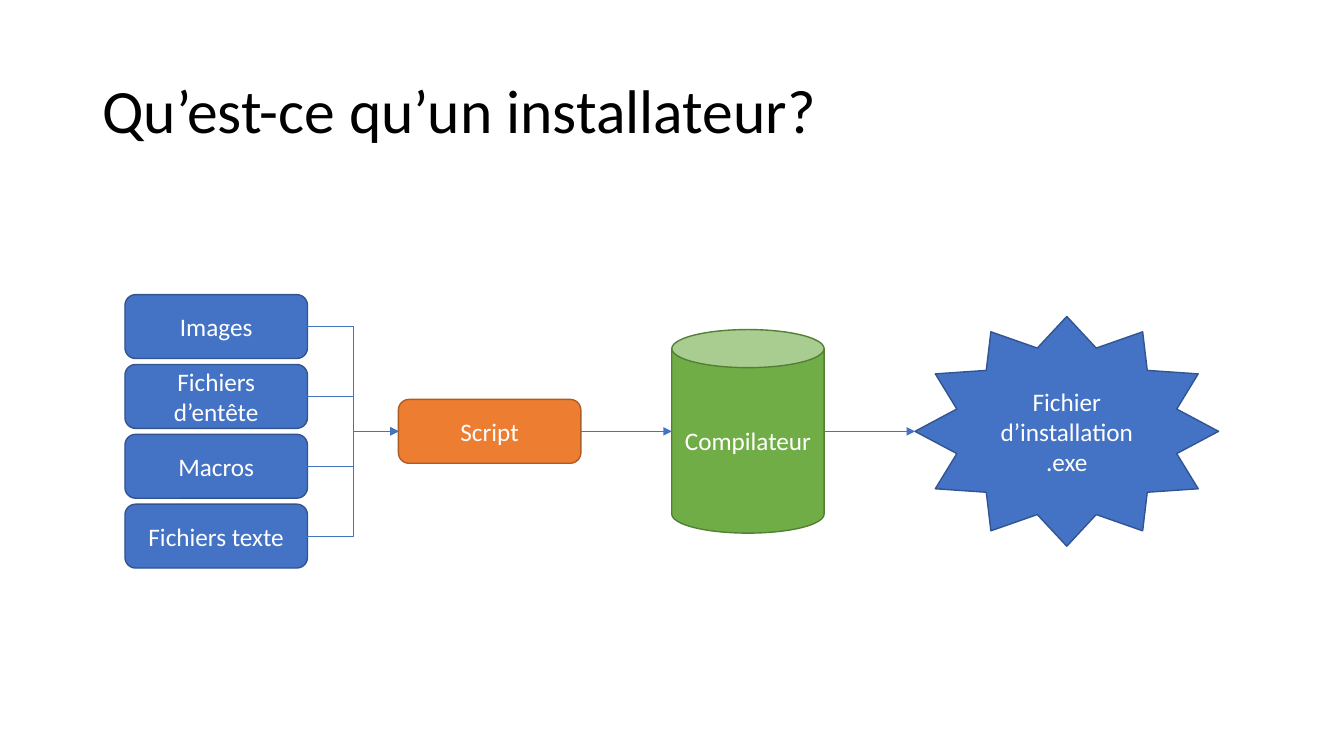
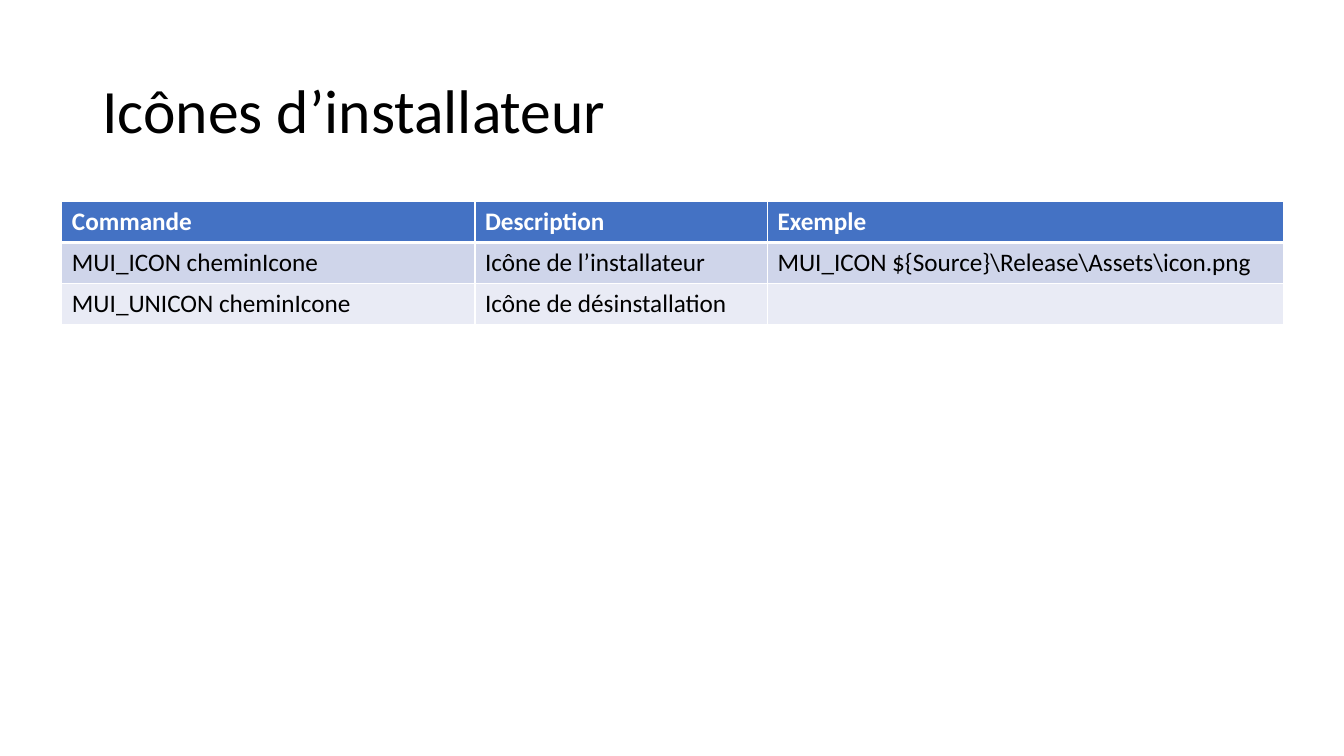
"""Build two slides on installers: a build flow and a table of icon commands."""
from dataclasses import dataclass
from lxml.etree import SubElement
from pptx import Presentation
from pptx.dml.color import RGBColor
from pptx.enum.shapes import MSO_CONNECTOR, MSO_SHAPE
from pptx.enum.text import MSO_ANCHOR, PP_ALIGN
from pptx.oxml.ns import qn
from pptx.util import Cm, Pt

FLOW = "Qu’est-ce qu’un installateur?"
INPUTS = ["Images", "Fichiers d’entête", "Macros", "Fichiers texte"]
STAGES = [
    ("Script", MSO_SHAPE.ROUNDED_RECTANGLE, "orange", 4.6, 1.61),
    ("Compilateur", MSO_SHAPE.CAN, "green", 3.84, 5.13),
    ("Fichier d’installation .exe", MSO_SHAPE.STAR_12_POINT, "blue", 7.65, 5.79),
]
ICONS = "Icônes d’installateur"
ROWS = [
    ("Commande", "Description", "Exemple"),
    ("MUI_ICON cheminIcone", "Icône de l’installateur",
     "MUI_ICON ${Source}\\Release\\Assets\\icon.png"),
    ("MUI_UNICON cheminIcone", "Icône de désinstallation", ""),
]
WIDTHS = [10.41, 7.37, 13.0]
LEFT, MID, GAP, PITCH = 3.15, 10.87, 2.29, 1.76
BOX_W, BOX_H = 4.6, 1.61
ROW_H = 1.03


@dataclass(frozen=True)
class Theme:
    font: str = "Calibri"
    title: int = 44
    body: int = 18
    black: str = "000000"
    white: str = "FFFFFF"
    blue: tuple = ("4472C4", "325491")
    orange: tuple = ("ED7D31", "AF5C24")
    green: tuple = ("70AD47", "538035")
    bands: tuple = ("CFD5EA", "E9EBF5")


THEME = Theme()


def rgb(code):
    return RGBColor.from_string(code)


def style(frame, size, color, bold=False, align=PP_ALIGN.LEFT):
    for para in frame.paragraphs:
        para.alignment = align
        for run in para.runs:
            font = run.font
            font.name, font.size, font.bold = THEME.font, Pt(size), bold
            font.color.rgb = rgb(color)


def new_slide(deck, title):
    slide = deck.slides.add_slide(deck.slide_layouts[6])
    frame = slide.shapes.add_textbox(Cm(2.33), Cm(1.01), Cm(29.21), Cm(3.68)).text_frame
    frame.word_wrap = True
    frame.vertical_anchor = MSO_ANCHOR.MIDDLE
    frame.text = title
    frame.paragraphs[0].line_spacing = 0.9
    style(frame, THEME.title, THEME.black)
    return slide


def add_node(slide, text, kind, hue, left, mid, width, height):
    node = slide.shapes.add_shape(kind, Cm(left), Cm(mid - height / 2), Cm(width), Cm(height))
    fill, edge = getattr(THEME, hue)
    node.shadow.inherit = False
    node.fill.solid()
    node.fill.fore_color.rgb = rgb(fill)
    node.line.color.rgb = rgb(edge)
    node.line.width = Pt(1)
    frame = node.text_frame
    frame.word_wrap = True
    frame.vertical_anchor = MSO_ANCHOR.MIDDLE
    frame.text = text
    style(frame, THEME.body, THEME.white, align=PP_ALIGN.CENTER)
    return node


def link(slide, start, end, kind=MSO_CONNECTOR.STRAIGHT):
    line = slide.shapes.add_connector(
        kind, start.left + start.width, start.top + start.height // 2,
        end.left, end.top + end.height // 2)
    if start.auto_shape_type == MSO_SHAPE.ROUNDED_RECTANGLE:
        line.begin_connect(start, 3)
    if end.auto_shape_type == MSO_SHAPE.ROUNDED_RECTANGLE:
        line.end_connect(end, 1)
    line.line.color.rgb = rgb(THEME.blue[0])
    line.line.width = Pt(0.5)
    SubElement(line.line._get_or_add_ln(), qn("a:tailEnd"), type="triangle")
    SubElement(line._element.spPr, qn("a:effectLst"))


def draw_flow(deck):
    slide = new_slide(deck, FLOW)
    top = MID - PITCH * (len(INPUTS) - 1) / 2
    boxes = [add_node(slide, text, MSO_SHAPE.ROUNDED_RECTANGLE, "blue",
                      LEFT, top + i * PITCH, BOX_W, BOX_H)
             for i, text in enumerate(INPUTS)]
    chain, left = [], LEFT + BOX_W + GAP
    for text, kind, hue, width, height in STAGES:
        chain.append(add_node(slide, text, kind, hue, left, MID, width, height))
        left += width + GAP
    for box in boxes:
        link(slide, box, chain[0], MSO_CONNECTOR.ELBOW)
    for start, end in zip(chain, chain[1:]):
        link(slide, start, end)


def add_edges(cell, widths):
    props = cell._tc.get_or_add_tcPr()
    for i, (side, width) in enumerate(widths.items()):
        edge = SubElement(props, qn(f"a:ln{side}"), w=str(Pt(width)))
        fill = SubElement(edge, qn("a:solidFill"))
        SubElement(fill, qn("a:srgbClr"), val=THEME.white)
        props.insert(i, edge)


def draw_icons(deck):
    slide = new_slide(deck, ICONS)
    table = slide.shapes.add_table(
        len(ROWS), len(WIDTHS), Cm(1.56), Cm(5.08),
        Cm(sum(WIDTHS)), Cm(ROW_H * len(ROWS))).table
    for col, width in zip(table.columns, WIDTHS):
        col.width = Cm(width)
    for r, row in enumerate(ROWS):
        head = r == 0
        table.rows[r].height = Cm(ROW_H)
        for c, text in enumerate(row):
            cell = table.cell(r, c)
            cell.text_frame.text = text
            style(cell.text_frame, THEME.body, THEME.white if head else THEME.black, head)
            cell.fill.solid()
            cell.fill.fore_color.rgb = rgb(THEME.blue[0] if head else THEME.bands[(r - 1) % 2])
            add_edges(cell, {"L": 1, "R": 1, "T": 3 if r == 1 else 1, "B": 3 if head else 1})


def main():
    deck = Presentation()
    deck.slide_width, deck.slide_height = Cm(33.87), Cm(19.05)
    draw_flow(deck)
    draw_icons(deck)
    deck.save("out.pptx")


if __name__ == "__main__":
    main()
